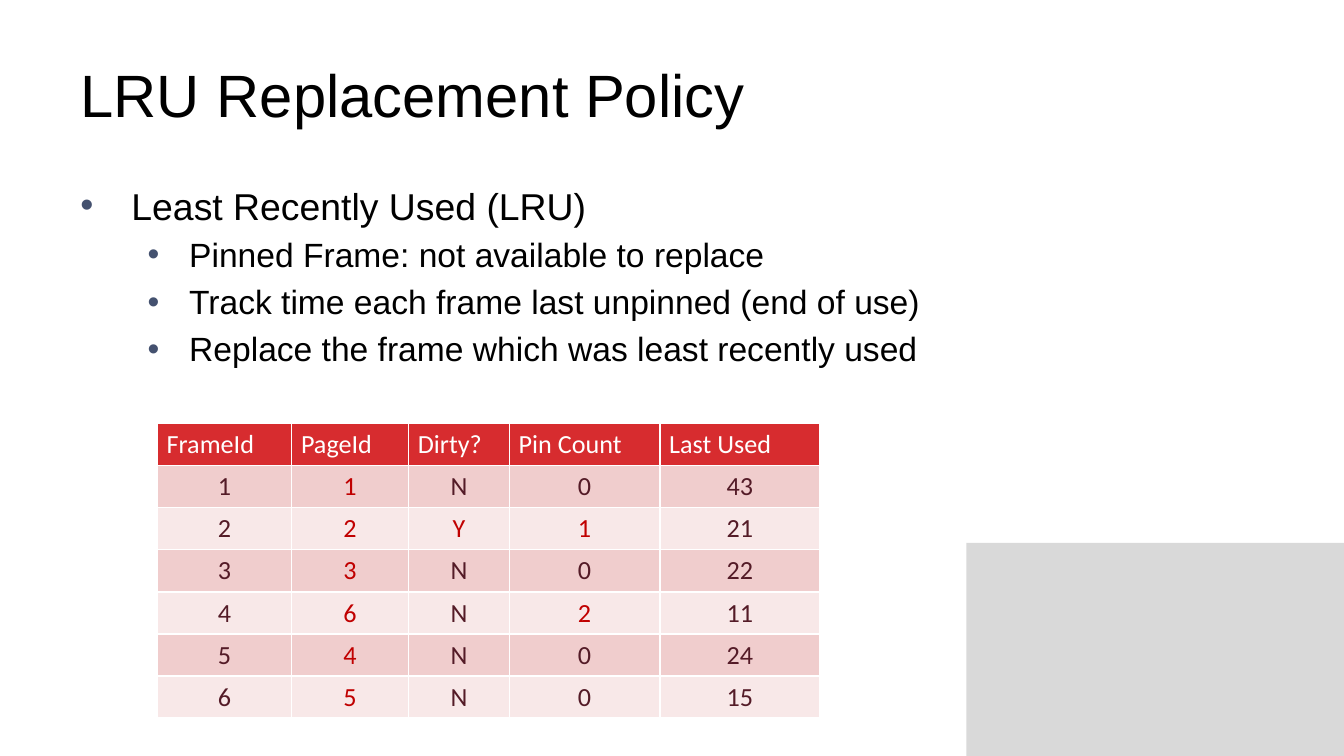
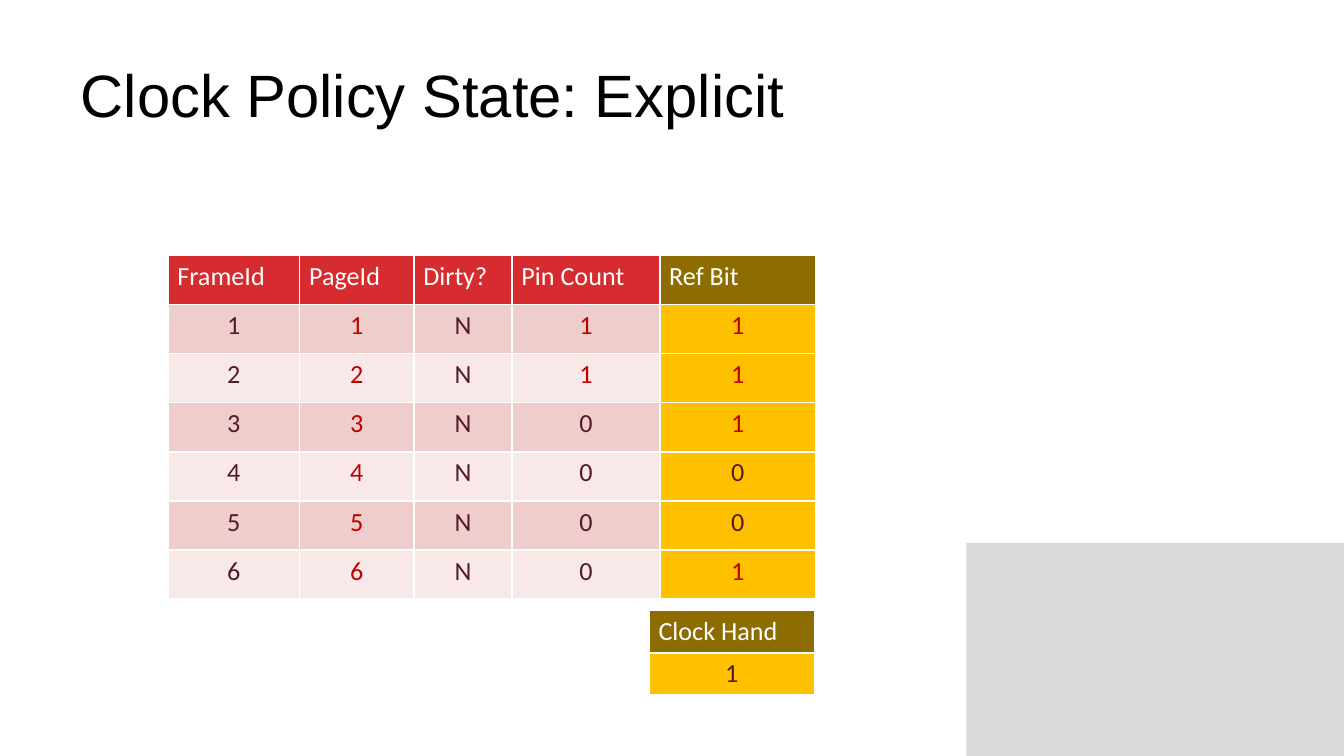
"""Build two slides on buffer replacement: LRU and the clock policy."""
from lxml import etree
from pptx import Presentation
from pptx.dml.color import RGBColor
from pptx.enum import shapes, text
from pptx.oxml import ns
from pptx.util import Inches, Pt

HUES = {
    "ink": "000000", "white": "FFFFFF", "block": "D9D9D9", "bullet": "44516F",
    "head": "D72C2F", "odd": "F0CDCD", "even": "F8E8E8",
    "gold head": "8D6C01", "gold": "FFC000", "wine": "541B27", "red": "C00000",
}
SIZE = (10, 10 * 9 / 16)
TITLE = (0.5, 0.23, 9, 0.94)
BODY = (0.5, 1.31, 9, 3.71)
BLOCK = (7.19, 4.04, 2.81, 1.59)
LEVELS = [
    {"size": 20, "left": 0.38, "hang": 0.38},
    {"size": 18, "left": 0.81, "hang": 0.31},
]
GOLD = ("Ref Bit", "Clock Hand")
FLAGS = ("Dirty?", "Pin Count", "Ref Bit")

SLIDES = [
    {
        "title": "LRU Replacement Policy",
        "points": [
            (0, "Least Recently Used (LRU)"),
            (1, "Pinned Frame: not available to replace"),
            (1, "Track time each frame last unpinned (end of use)"),
            (1, "Replace the frame which was least recently used"),
        ],
        "grids": [{
            "at": (1.17, 3.15), "high": 2.16,
            "cols": (1, 0.87, 0.75, 1.12, 1.19),
            "rows": [
                ("FrameId", "PageId", "Dirty?", "Pin Count", "Last Used"),
                ("1", "1", "N", "0", "43"),
                ("2", "2", "Y", "1", "21"),
                ("3", "3", "N", "0", "22"),
                ("4", "6", "N", "2", "11"),
                ("5", "4", "N", "0", "24"),
                ("6", "5", "N", "0", "15"),
            ],
        }],
    },
    {
        "title": "Clock Policy State: Explicit",
        "points": [],
        "grids": [
            {
                "at": (1.25, 1.9), "high": 2.56,
                "cols": (0.98, 0.85, 0.73, 1.1, 1.16),
                "rows": [
                    ("FrameId", "PageId", "Dirty?", "Pin Count", "Ref Bit"),
                    ("1", "1", "N", "1", "1"),
                    ("2", "2", "N", "1", "1"),
                    ("3", "3", "N", "0", "1"),
                    ("4", "4", "N", "0", "0"),
                    ("5", "5", "N", "0", "0"),
                    ("6", "6", "N", "0", "1"),
                ],
            },
            {
                "at": (4.83, 4.54), "high": 0.62, "cols": (1.23,),
                "rows": [("Clock Hand",), ("1",)],
            },
        ],
    },
]


def hue(name):
    return RGBColor.from_string(HUES[name])


def node(up, tag, **attrs):
    return etree.SubElement(up, ns.qn(tag), attrs)


def write(para, words, size, face, color):
    run = para.add_run()
    run.text = words
    font = run.font
    font.size, font.name, font.bold = Pt(size), face, False
    font.color.rgb = hue(color)


def add_block(slide):
    block = slide.shapes.add_shape(shapes.MSO_SHAPE.RECTANGLE, *map(Inches, BLOCK))
    block.shadow.inherit = False
    block.fill.solid()
    block.fill.fore_color.rgb = hue("block")
    block.line.fill.background()


def add_title(slide, words):
    title = slide.shapes.title
    title.left, title.top, title.width, title.height = map(Inches, TITLE)
    frame = title.text_frame
    frame.vertical_anchor = text.MSO_ANCHOR.MIDDLE
    para = frame.paragraphs[0]
    para.alignment = text.PP_ALIGN.LEFT
    write(para, words, 32, "Arial", "ink")


def add_points(slide, points):
    frame = slide.shapes.add_textbox(*map(Inches, BODY)).text_frame
    frame.word_wrap = True
    for i, (level, words) in enumerate(points):
        para = frame.add_paragraph() if i else frame.paragraphs[0]
        look = LEVELS[level]
        para.level = level
        props = para._p.get_or_add_pPr()
        props.set("marL", str(Inches(look["left"])))
        props.set("indent", str(-Inches(look["hang"])))
        node(node(props, "a:spcBef"), "a:spcPct", val="20000")
        node(node(props, "a:buClr"), "a:srgbClr", val=HUES["bullet"])
        node(props, "a:buFont", typeface="Arial")
        node(props, "a:buChar", char="•")
        write(para, words, look["size"], "Arial", "ink")


def edge(cell):
    props = cell._tc.get_or_add_tcPr()
    for side in "LRTB":
        line = node(props, "a:ln" + side, w=str(Pt(1)))
        node(node(line, "a:solidFill"), "a:srgbClr", val=HUES["white"])


def paint(row, name, value):
    """Return the fill and text colours of a cell."""
    gold = name in GOLD
    if row == 0:
        return ("gold head" if gold else "head"), "white"
    fill = "gold" if gold else "odd" if row % 2 else "even"
    hot = name == "PageId" or (name in FLAGS and value not in ("0", "N"))
    return fill, "red" if hot else "wine"


def add_grid(slide, grid):
    rows, cols = grid["rows"], grid["cols"]
    spot = map(Inches, (*grid["at"], sum(cols), grid["high"]))
    table = slide.shapes.add_table(len(rows), len(cols), *spot).table
    for col, wide in zip(table.columns, cols):
        col.width = Inches(wide)
    for r, row in enumerate(rows):
        table.rows[r].height = Inches(grid["high"] / len(rows))
        for c, value in enumerate(row):
            cell = table.cell(r, c)
            fill, color = paint(r, rows[0][c], value)
            cell.margin_left = cell.margin_right = Inches(0.07)
            cell.margin_top = cell.margin_bottom = Inches(0.04)
            edge(cell)
            cell.fill.solid()
            cell.fill.fore_color.rgb = hue(fill)
            para = cell.text_frame.paragraphs[0]
            if r:
                para.alignment = text.PP_ALIGN.CENTER
            write(para, value, 14, "Calibri", color)


def main():
    deck = Presentation()
    deck.slide_width, deck.slide_height = map(Inches, SIZE)
    for page in SLIDES:
        slide = deck.slides.add_slide(deck.slide_layouts[5])
        add_block(slide)
        add_title(slide, page["title"])
        if page["points"]:
            add_points(slide, page["points"])
        for grid in page["grids"]:
            add_grid(slide, grid)
    deck.save("out.pptx")


if __name__ == "__main__":
    main()
